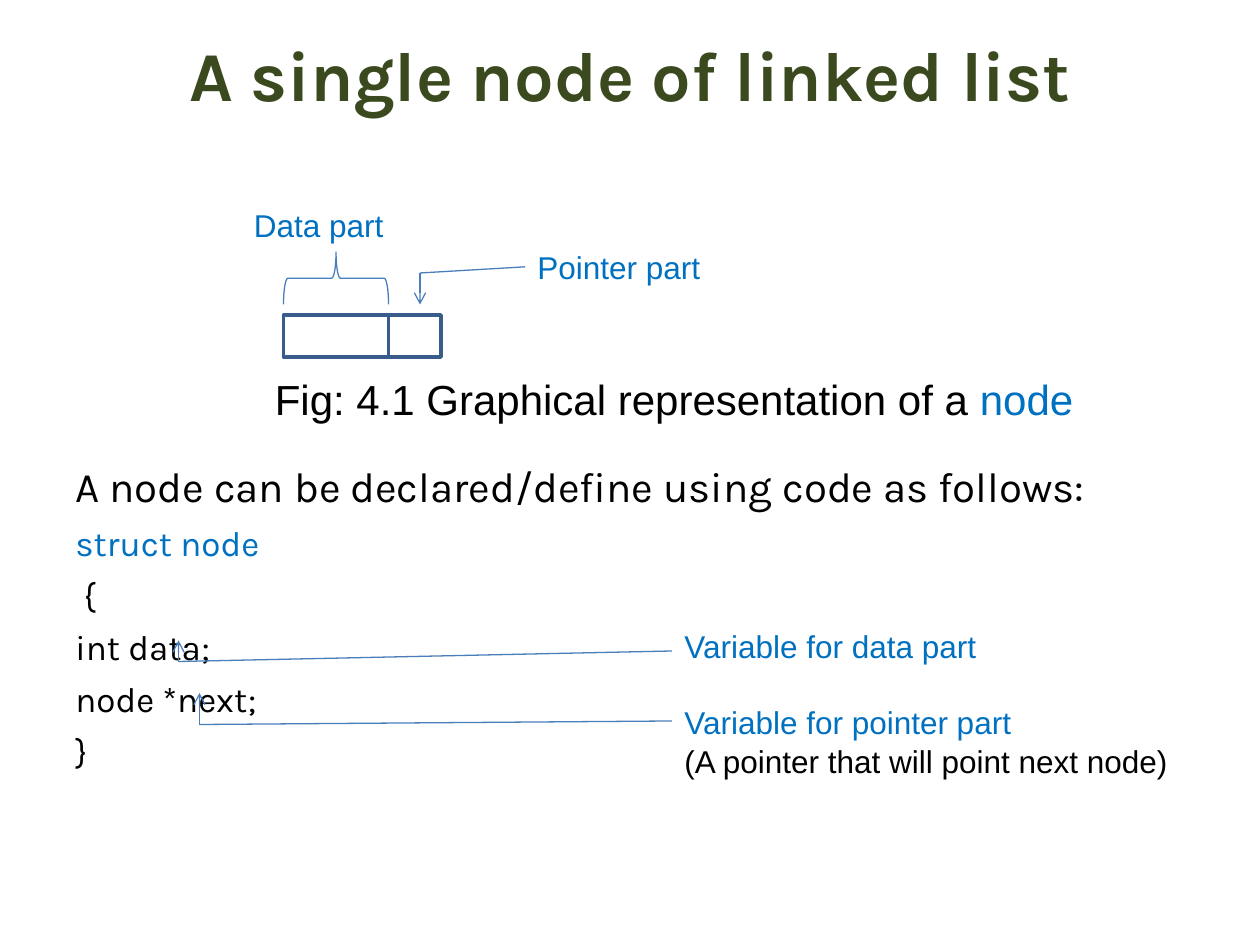
from pptx import Presentation
from pptx.dml.color import RGBColor
from pptx.enum import shapes, text
from pptx.oxml import parse_xml
from pptx.oxml.ns import nsdecls
from pptx.util import Pt

GREEN = RGBColor(0x3B, 0x4A, 0x1E)
BLUE = RGBColor(0x00, 0x70, 0xC0)
BLACK = RGBColor(0, 0, 0)
EDGE = RGBColor(0x38, 0x5D, 0x8A)
LINE = RGBColor(0x4A, 0x7E, 0xBB)

deck = Presentation()
deck.slide_width, deck.slide_height = Pt(720), Pt(540)
slide = deck.slides.add_slide(deck.slide_layouts[6])


def add_text(area, font, rows):
    """Add a box; each row is (space before, size, [(words, colour), ...])."""
    box = slide.shapes.add_textbox(*map(Pt, area))
    frame = box.text_frame
    frame.word_wrap = True
    for i, (gap, size, parts) in enumerate(rows):
        para = frame.paragraphs[0] if i == 0 else frame.add_paragraph()
        para.space_before = Pt(gap)
        for words, color in parts:
            run = para.add_run()
            run.text = words
            run.font.name = font
            run.font.size = Pt(size)
            run.font.color.rgb = color
    return box


def add_line(start, end, arrow=False):
    line = slide.shapes.add_connector(
        shapes.MSO_CONNECTOR.STRAIGHT, *map(Pt, start + end))
    line.line.color.rgb = LINE
    line.line.width = Pt(0.75)
    if arrow:
        line.line._get_or_add_ln().append(
            parse_xml(f'<a:tailEnd {nsdecls("a")} type="arrow"/>'))
    line._element.spPr.append(parse_xml(f'<a:effectLst {nsdecls("a")}/>'))
    return line


# Title
title = add_text((36, 6, 648, 72), "Karla",
                 [(0, 40, [("A single node of linked list", GREEN)])])
title.text_frame.vertical_anchor = text.MSO_ANCHOR.MIDDLE
head = title.text_frame.paragraphs[0]
head.alignment = text.PP_ALIGN.CENTER
head.runs[0].font.bold = True

# Code
code = add_text((36, 259, 648, 233), "Karla", [
    (0, 24, [("A node can be declared/define using code as follows:", BLACK)]),
    (5, 20, [("struct node", BLUE)]),
    (5, 20, [(" {", BLACK)]),
    (5, 20, [("int data;", BLACK)]),
    (5, 20, [("node *next;", BLACK)]),
    (5, 20, [("}", BLACK)]),
])

# Node: data cell, pointer cell and the brace over the data cell
kinds = shapes.MSO_SHAPE
for kind, area, color, width in (
        (kinds.RECTANGLE, (162, 180, 60, 24), EDGE, 2),
        (kinds.FLOWCHART_PROCESS, (222, 180, 30, 24), EDGE, 2),
        (kinds.LEFT_BRACE, (177, 129, 30, 60), LINE, 0.75)):
    part = slide.shapes.add_shape(kind, *map(Pt, area))
    part.shadow.inherit = False
    part.fill.background()
    part.line.color.rgb = color
    part.line.width = Pt(width)
    if kind == kinds.LEFT_BRACE:
        part.rotation = 90

# Labels
add_text((138, 114, 96, 29), "Arial", [(0, 18, [("Data part", BLUE)])])
label = add_text((300, 138, 126, 29), "Arial",
                 [(0, 18, [("Pointer part", BLUE)])])
add_text((150, 210, 498, 36), "Arial", [
    (0, 24, [("Fig: 4.1 Graphical representation of a ", BLACK),
             ("node", BLUE)])])
notes = add_text((384, 354, 318, 115), "Arial", [
    (0, 18, [("Variable for data part", BLUE)]),
    (21.4, 18, [("Variable for pointer part", BLUE)]),
    (0, 18, [("(A pointer that will point next node)", BLACK)]),
])
for box in (code, notes):
    for para in box.text_frame.paragraphs:
        para.line_spacing = 1.03

# Leaders from each label to what it names
leader = add_line((240, 156), (300, 152.5))
leader.end_connect(label, 1)
add_line((240, 156), (240, 174), arrow=True)
for corner, end, tip in (
        ((102, 378), (384, 372), (102, 366)),
        ((114, 414), (384, 412), (114, 396))):
    add_line(corner, end)
    add_line(corner, tip, arrow=True)

deck.save("out.pptx")
